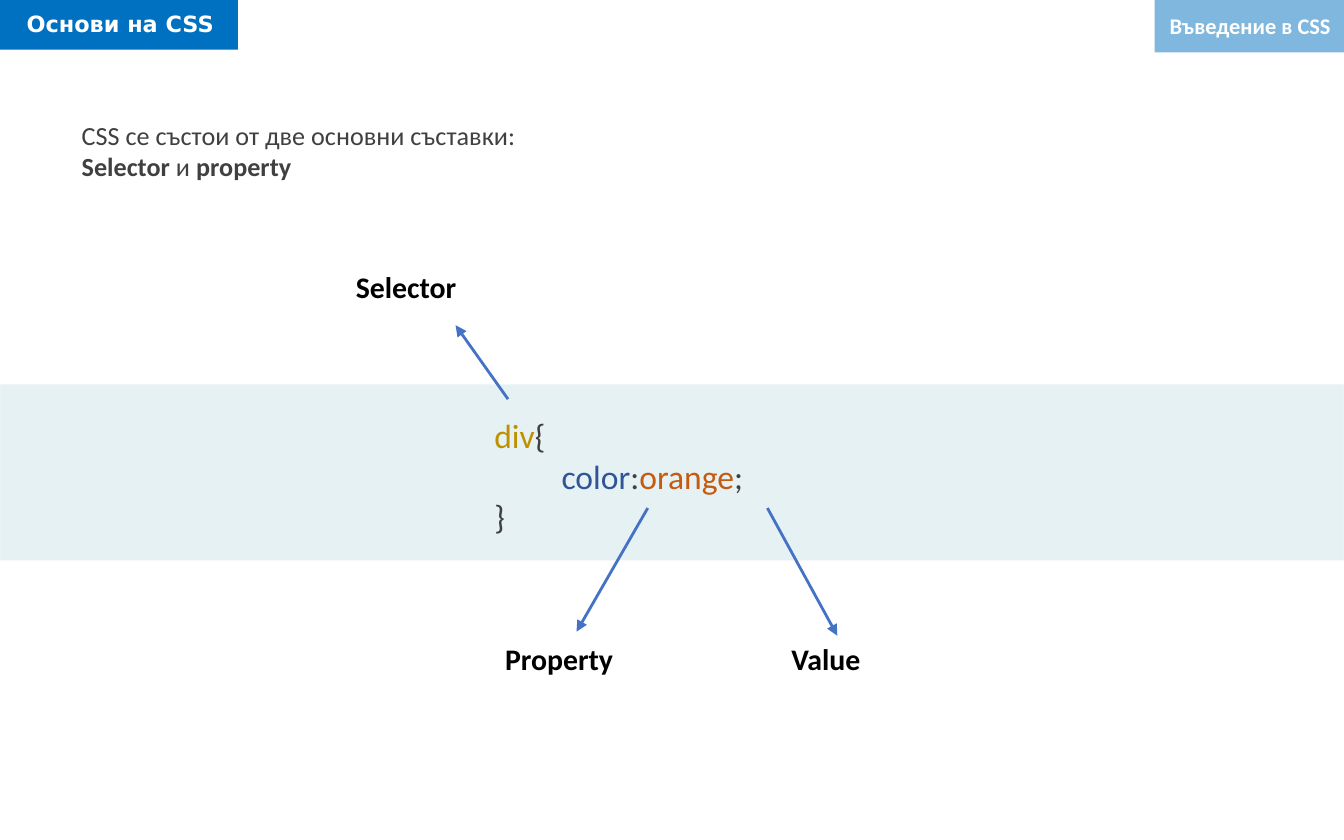
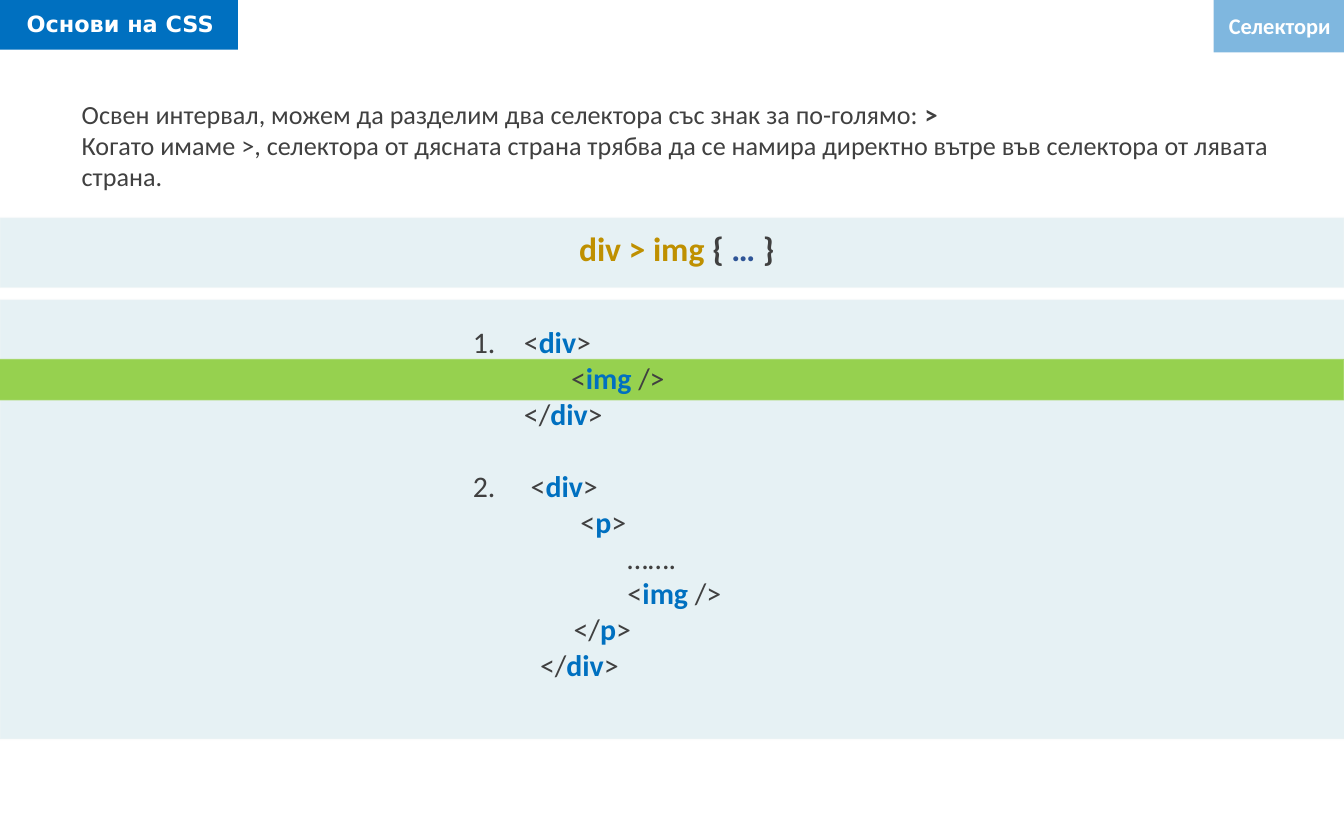
from dataclasses import dataclass

from lxml.etree import SubElement
from pptx import Presentation
from pptx.dml.color import RGBColor
from pptx.enum.shapes import MSO_CONNECTOR as Connector, MSO_SHAPE as Shape
from pptx.enum.text import MSO_AUTO_SIZE as AutoSize, PP_ALIGN as Align
from pptx.oxml.ns import qn
from pptx.util import Inches, Pt


@dataclass(frozen=True)
class Theme:
    blue: str = "0070C0"
    panel: str = "127994"
    panel_edge: str = "F8F8F8"
    highlight: str = "96D14F"
    arrow: str = "4472C4"
    text: str = "404040"
    label: str = "000000"
    white: str = "FFFFFF"
    selector: str = "BF9000"
    property: str = "2F5597"
    value: str = "C55A11"
    body_font: str = "Calibri"
    title_font: str = "DejaVu Sans"
    header_size: int = 12
    body_size: int = 14
    markup_size: int = 16
    code_size: int = 18


theme = Theme()
WIDTH, HEIGHT = 10, 6.25


def add_band(slide, box, color, alpha=100, edged=False):
    """Rectangle with an optional see-through fill and a faint edge."""
    band = slide.shapes.add_shape(Shape.RECTANGLE, *map(Inches, box))
    band.shadow.inherit = False
    band.fill.solid()
    band.fill.fore_color.rgb = RGBColor.from_string(color)
    alphas = [alpha]
    if edged:
        band.line.color.rgb = RGBColor.from_string(theme.panel_edge)
        band.line.width = Pt(1)
        alphas.append(16)
    else:
        band.line.fill.background()
    tints = band.element.spPr.iter(qn("a:srgbClr"))
    for tint, percent in zip(list(tints), alphas):
        if percent < 100:
            SubElement(tint, qn("a:alpha"), val=str(percent * 1000))


def add_text(slide, box, lines, size, color=theme.text, bold=False,
             font=theme.body_font, wrap=True, align=Align.LEFT, layouts=()):
    """Each line is a list of (text, color, bold) runs; None keeps the line's style.

    Each layout is (left margin, first indent, list number, space before).
    """
    frame = slide.shapes.add_textbox(*map(Inches, box)).text_frame
    frame.word_wrap = wrap
    frame.auto_size = AutoSize.SHAPE_TO_FIT_TEXT
    for index, runs in enumerate(lines):
        paragraph = frame.add_paragraph() if index else frame.paragraphs[0]
        paragraph.alignment = align
        if layouts:
            margin, indent, number, gap = layouts[index]
            props = paragraph._p.get_or_add_pPr()
            props.set("marL", str(Inches(margin)))
            props.set("indent", str(Inches(indent)))
            if number:
                SubElement(props, qn("a:buAutoNum"), type="arabicPeriod", startAt=str(number))
            if gap:
                paragraph.space_before = Pt(gap)
        paragraph.font.name = font
        paragraph.font.size = Pt(size)
        paragraph.font.bold = bold
        paragraph.font.color.rgb = RGBColor.from_string(color)
        for text, run_color, run_bold in runs:
            for part_index, part in enumerate(text.split("\n")):
                if part_index:
                    paragraph.add_line_break()
                run = paragraph.add_run()
                run.text = part
                if run_color:
                    run.font.color.rgb = RGBColor.from_string(run_color)
                if run_bold:
                    run.font.bold = True


deck = Presentation()
deck.slide_width, deck.slide_height = Inches(WIDTH), Inches(HEIGHT)
blank = deck.slide_layouts[6]
syntax, rules = deck.slides.add_slide(blank), deck.slides.add_slide(blank)

# Markup panel and highlighted line, behind the header
add_band(rules, (0, 2.23, 10.02, 3.27), theme.panel, 10, edged=True)
add_band(rules, (-0.02, 2.67, 10.02, 0.31), theme.highlight, edged=True)

# Shared header: course title on the left, topic on the right
for slide, topic, topic_width in ((syntax, "Въведение в CSS", 1.41), (rules, "Селектори", 0.97)):
    add_band(slide, (0, -0.02, 1.77, 0.39), theme.blue)
    add_text(slide, (0.1, 0.03, 1.67, 0.3), [[("Основи на CSS", None, None)]],
             theme.header_size, theme.white, True, theme.title_font)
    topic_left = WIDTH - topic_width
    add_band(slide, (topic_left, 0, topic_width, 0.39), theme.blue, 50)
    add_text(slide, (topic_left, 0.04, topic_width, 0.3), [[(topic, None, None)]],
             theme.header_size, theme.white, True, wrap=False, align=Align.RIGHT)

# Slide 1: introduction
add_text(syntax, (0.51, 0.84, 9.06, 0.57), [
    [("CSS се състои от две основни съставки:", None, None)],
    [("Selector", None, True), (" и ", None, None), ("property", None, True)],
], theme.body_size)

# Slide 1: sample rule
add_band(syntax, (0, 2.86, WIDTH, 1.31), theme.panel, 10, edged=True)
add_text(syntax, (3.58, 3.04, 2.58, 1.31), [
    [("div", theme.selector, None), ("{", None, None)],
    [("\t", None, None), ("color", theme.property, None), (":", None, None),
     ("orange", theme.value, None), (";", None, None)],
    [("}", None, None)],
], theme.code_size, wrap=False)

# Slide 1: arrows from the parts of the rule to their names
for name, name_box, start, end in (
    ("Selector", (2.55, 1.95, 0.96, 0.37), (3.78, 2.97), (3.39, 2.42)),
    ("Property", (3.66, 4.72, 1.02, 0.37), (4.82, 3.78), (4.29, 4.7)),
    ("Value", (5.79, 4.72, 0.72, 0.37), (5.71, 3.78), (6.23, 4.73)),
):
    arrow = syntax.shapes.add_connector(Connector.STRAIGHT, *map(Inches, start + end))
    arrow.line.color.rgb = RGBColor.from_string(theme.arrow)
    arrow.line.width = Pt(1.5)
    SubElement(arrow.line._get_or_add_ln(), qn("a:tailEnd"), type="triangle")
    SubElement(arrow._element.spPr, qn("a:effectLst"))
    add_text(syntax, name_box, [[(name, None, None)]], theme.markup_size,
             theme.label, True, wrap=False)

# Slide 2: explanation
add_text(rules, (0.51, 0.68, 9.06, 0.81), [
    [("Освен интервал, можем да разделим два селектора със знак за по-голямо: ", None, None),
     (">", None, True)],
    [("Когато имаме >, селектора от дясната страна трябва да се намира директно "
      "вътре във селектора от лявата страна.", None, None)],
], theme.body_size)

# Slide 2: selector
add_band(rules, (0, 1.62, WIDTH, 0.52), theme.panel, 10, edged=True)
add_text(rules, (4.21, 1.65, 2.05, 0.4), [
    [("div > img ", theme.selector, None), ("{ ", None, None),
     ("… ", theme.property, None), ("}", None, None)],
], theme.code_size, bold=True)

# Slide 2: markup that matches (1) and markup that does not (2)
div, img, p = ((tag, theme.blue, True) for tag in ("div", "img", "p"))
close = (">", None, None)
nested = (0.5, 0, None, 0)
add_text(rules, (3.42, 2.36, 2.78, 2.79), [
    [("<", None, None), div, (">\n       <", None, None), img,
     (" />\n</", None, None), div, close],
    [(" <", None, None), div, close],
    [("      <", None, None), p, close],
    [("             …….", None, None)],
    [("             <", None, None), img, (" />", None, None)],
    [("     </", None, None), p, close],
    [("</", None, None), div, close],
], theme.markup_size,
    layouts=[(0.38, -0.38, 1, 0), (0.38, -0.38, 2, 19.5)] + [nested] * 5)

deck.save("out.pptx")
